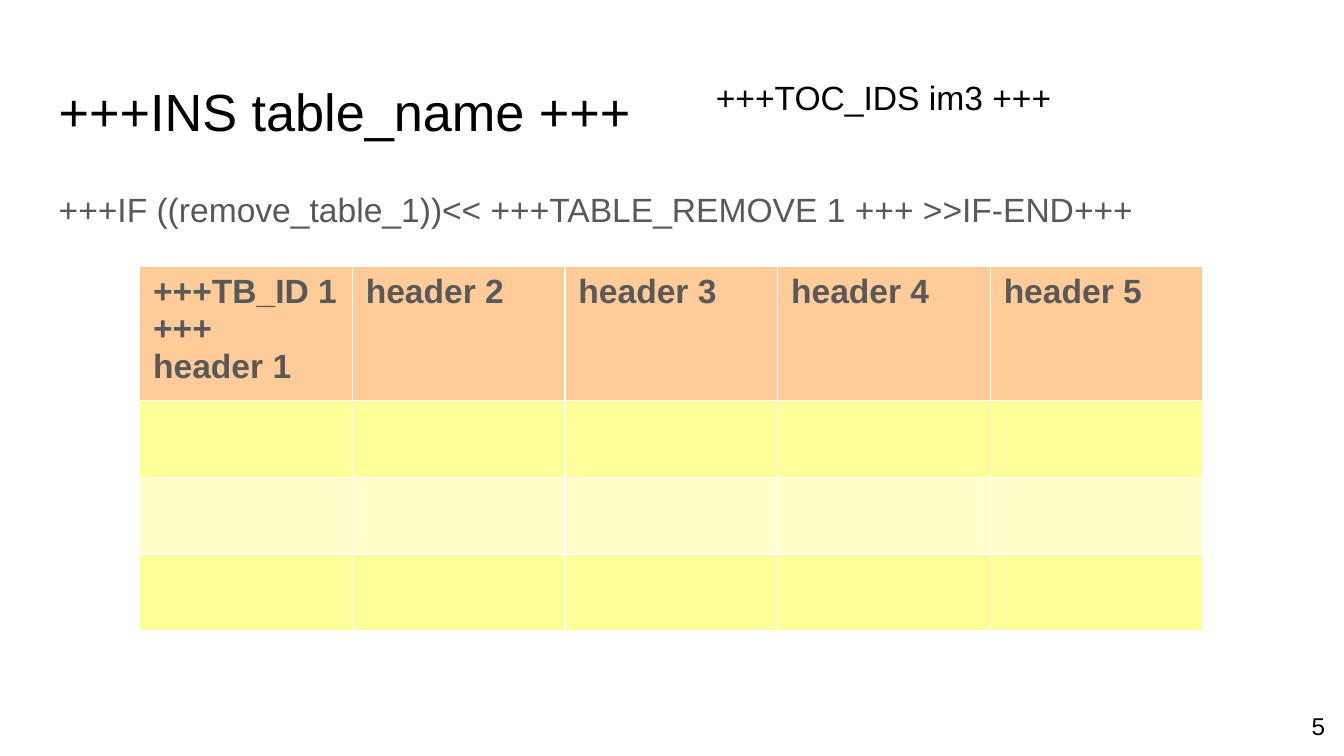
from pptx import Presentation
from pptx import util as u
from pptx.dml.color import RGBColor
from pptx.enum import text
from pptx.oxml.ns import qn
from lxml import etree

BLACK = RGBColor(0, 0, 0)
GREY = RGBColor(0x59, 0x59, 0x59)
WHITE = RGBColor(0xFF, 0xFF, 0xFF)
PEACH = RGBColor(0xFF, 0xCC, 0x99)
YELLOW = RGBColor(0xFF, 0xFF, 0x99)
CREAM = RGBColor(0xFF, 0xFF, 0xCC)


class Page:
    def __init__(self, slide, face="Arial", edge=WHITE):
        self.slide = slide
        self.face = face
        self.edge = edge

    def style(self, para, size, color, bold=False):
        look = {"name": self.face, "size": u.Pt(size), "bold": bold}
        for run in para.runs:
            for key, value in look.items():
                setattr(run.font, key, value)
            run.font.color.rgb = color

    def label(self, words, box, size, color=BLACK, pad=0.25, form=None,
              anchor=text.MSO_ANCHOR.TOP):
        """Add a text box; pad is the top and bottom inset, form the paragraph format."""
        frame = self.slide.shapes.add_textbox(*map(u.Cm, box)).text_frame
        look = {"word_wrap": True, "vertical_anchor": anchor,
                "margin_left": u.Cm(0.25), "margin_right": u.Cm(0.25),
                "margin_top": u.Cm(pad), "margin_bottom": u.Cm(pad)}
        for key, value in look.items():
            setattr(frame, key, value)
        frame.text = words
        para = frame.paragraphs[0]
        for key, value in (form or {}).items():
            setattr(para, key, value)
        self.style(para, size, color)

    def border(self, cell):
        props = cell._tc.get_or_add_tcPr()
        for side in ("a:lnL", "a:lnR", "a:lnT", "a:lnB"):
            line = etree.SubElement(props, qn(side), w=str(u.Pt(0.75)))
            fill = etree.SubElement(line, qn("a:solidFill"))
            etree.SubElement(fill, qn("a:srgbClr"), val=str(self.edge))

    def table(self, heads, fills, tall, spot, wide):
        """Add a grid with one header row and one fill and height per row."""
        size = (wide * len(heads), sum(tall))
        grid = self.slide.shapes.add_table(
            len(fills), len(heads), *map(u.Cm, spot + size)).table
        for col in grid.columns:
            col.width = u.Cm(wide)
        for row, fill, high in zip(grid.rows, fills, tall):
            row.height = u.Cm(high)
            for cell in row.cells:
                self.border(cell)
                cell.fill.solid()
                cell.fill.fore_color.rgb = fill
        for cell, head in zip(grid.rows[0].cells, heads):
            cell.text = head
            self.style(cell.text_frame.paragraphs[0], 18, GREY, bold=True)


def main():
    deck = Presentation()
    deck.slide_width, deck.slide_height = u.Cm(25.4), u.Cm(14.29)
    page = Page(deck.slides.add_slide(deck.slide_layouts[6]))

    page.label("+++INS table_name +++", (0.86, 1.24, 23.62, 1.52), 28)
    page.label("+++IF ((remove_table_1))<< +++TABLE_REMOVE 1 +++ >>IF-END+++",
               (0.86, 3.2, 23.62, 9.42), 18, GREY, form={"line_spacing": 1.15})
    heads = ["+++TB_ID 1 +++\vheader 1"] + [f"header {n}" for n in range(2, 6)]
    page.table(heads, [PEACH, YELLOW, CREAM, YELLOW], [2.39] + [1.45] * 3,
               spot=(2.64, 5.03), wide=4.02)
    page.label("5", (23.77, 13.18, 1.52, 1.09), 13,
               form={"alignment": text.PP_ALIGN.RIGHT},
               anchor=text.MSO_ANCHOR.MIDDLE)
    page.label("+++TOC_IDS im3 +++", (13.28, 1.32, 8.05, 0.97), 18, pad=0.13)

    deck.save("out.pptx")


if __name__ == "__main__":
    main()
